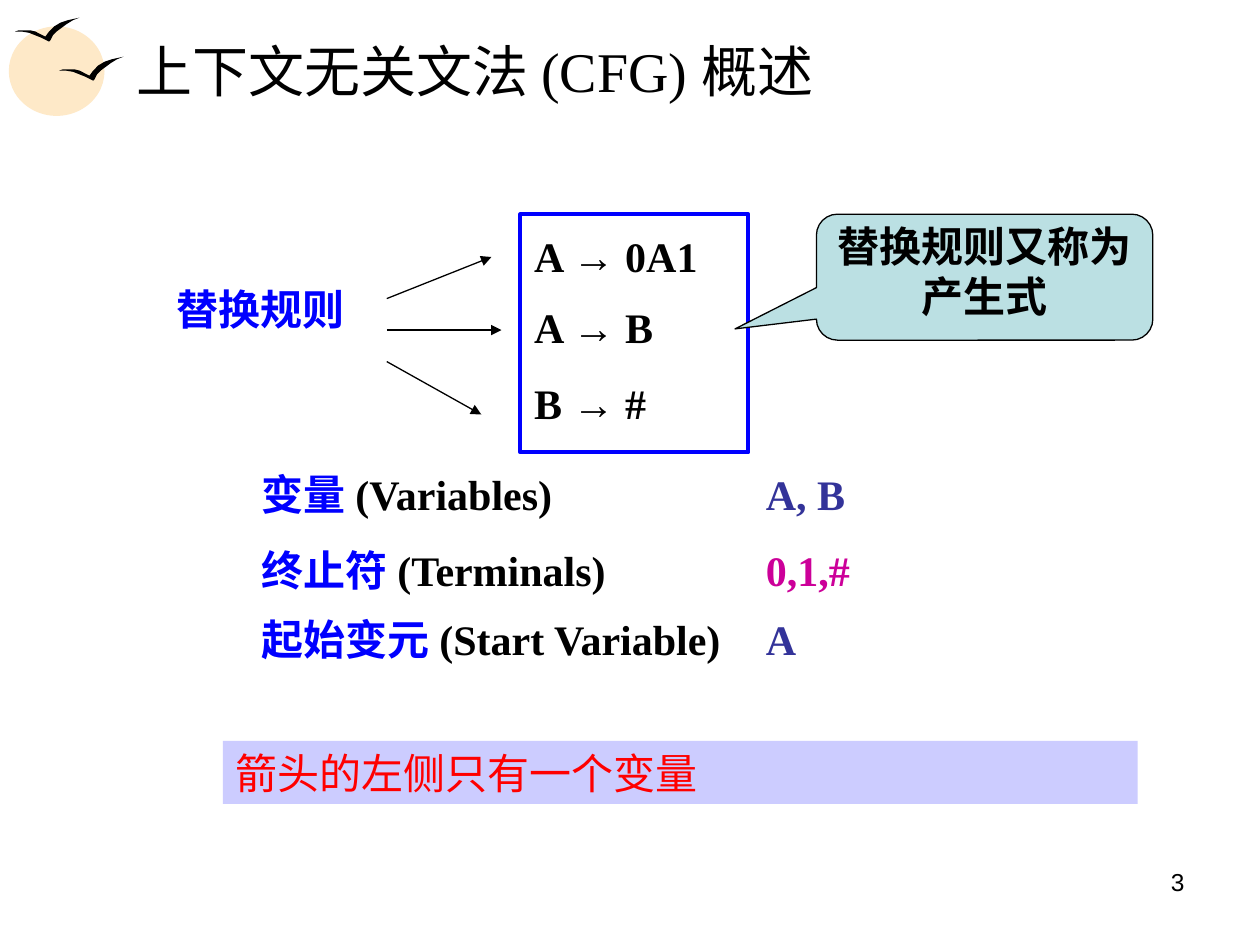
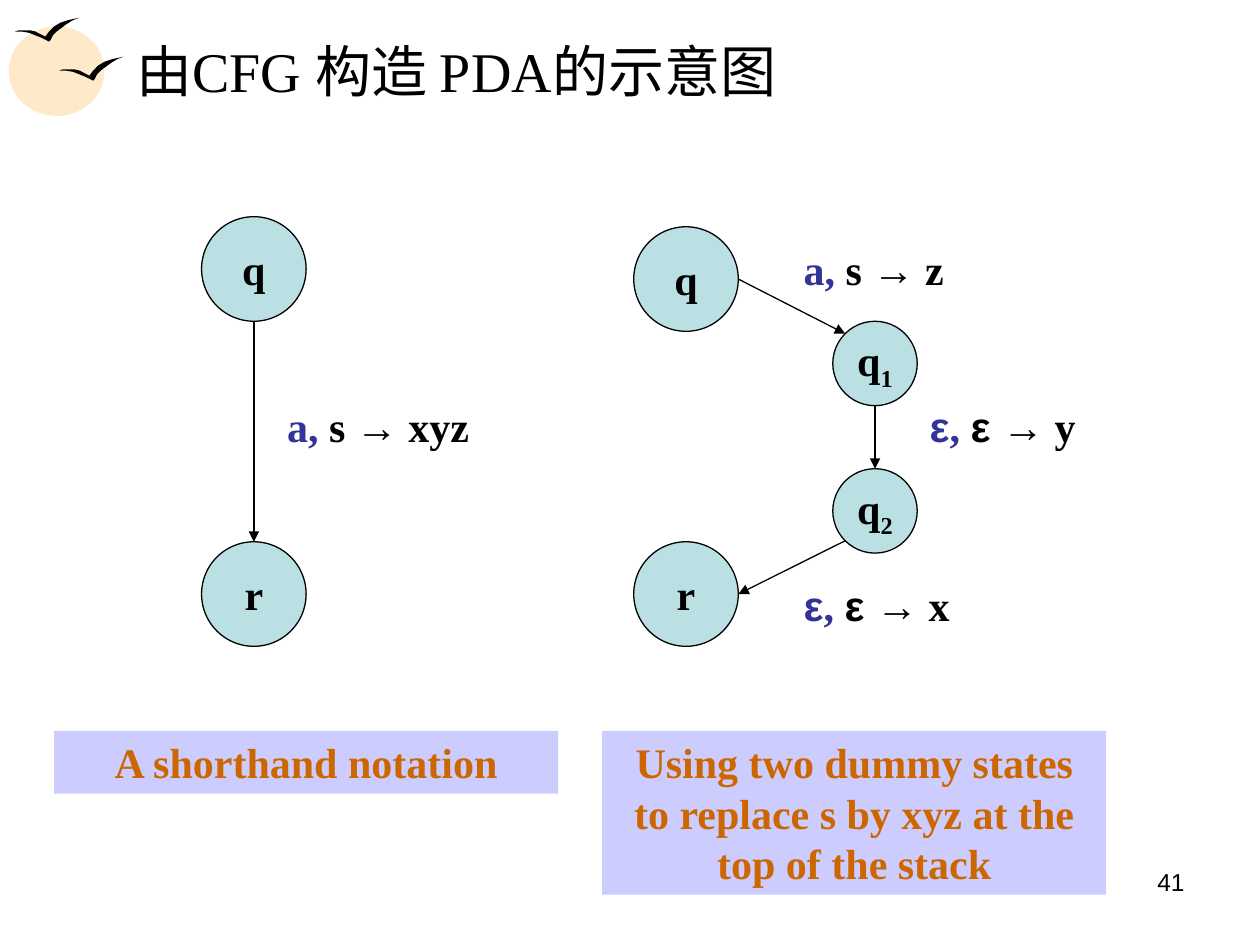
from math import sqrt

from lxml.etree import SubElement
from pptx import Presentation
from pptx.dml.color import RGBColor
from pptx.enum.shapes import MSO_CONNECTOR as Link, MSO_SHAPE as Kind
from pptx.enum.text import MSO_ANCHOR as Anchor, MSO_AUTO_SIZE as Fit, PP_ALIGN as Align
from pptx.oxml.ns import qn
from pptx.util import Inches, Pt

BLACK, BLUE, NAVY, RED = "000000", "0000FF", "333399", "FF0000"
PINK, RUST, SAND = "CC0099", "CC6600", "FEE9C8"
TEAL, LILAC = "BBE0E3", "CCCCFF"
SERIF, SANS, COMIC = "Times New Roman", "Arial", "Comic Neue"
WING = [(0, 11), (3, 10), (8, 10), (12, 10), (16, 11), (20, 13), (24, 15),
        (27, 11), (31, 7), (36, 4), (42, 2), (51, 0), (46, 2), (41, 5),
        (37, 8), (33, 11), (30, 14), (28, 18), (27, 19), (25, 18),
        (21, 16), (16, 14), (11, 12), (5, 11)]


def tint(code):
    return RGBColor.from_string(code)


def style(shape, fill=None, line=None, width=0.75):
    shape.shadow.inherit = False
    if fill:
        shape.fill.solid()
        shape.fill.fore_color.rgb = tint(fill)
    else:
        shape.fill.background()
    if line:
        shape.line.color.rgb = tint(line)
        shape.line.width = Pt(width)
    else:
        shape.line.fill.background()


def inset(frame, side, top):
    frame.margin_left = frame.margin_right = Inches(side)
    frame.margin_top = frame.margin_bottom = Inches(top)


def fill_in(para, runs, size=24, font=SERIF, bold=True, align=Align.LEFT, tab=None):
    para.alignment = align
    if tab:
        tabs = SubElement(para._p.get_or_add_pPr(), qn("a:tabLst"))
        SubElement(tabs, qn("a:tab"), pos=str(Inches(tab)), algn="l")
    para.font.size = Pt(size)
    para.font.name = font
    para.font.bold = bold
    colors = {color for _, color, *_ in runs}
    if len(colors) == 1:
        para.font.color.rgb = tint(runs[0][1])
    for text, color, *face in runs:
        run = para.add_run()
        run.text = text
        if len(colors) > 1:
            run.font.color.rgb = tint(color)
        if face:
            run.font.name = face[0]


def add_text(slide, box, runs, **look):
    frame = slide.shapes.add_textbox(*map(Inches, box)).text_frame
    frame.word_wrap = True
    inset(frame, 0.1, 0.05)
    fill_in(frame.paragraphs[0], runs, **look)


def add_box(slide, kind, box, fill=None, line=None, width=0.75):
    shape = slide.shapes.add_shape(kind, *map(Inches, box))
    style(shape, fill, line, width)
    frame = shape.text_frame
    frame.word_wrap = True
    frame.vertical_anchor = Anchor.TOP
    inset(frame, 0.1, 0.05)
    return shape


def add_band(slide, box, text, color, **look):
    band = add_box(slide, Kind.RECTANGLE, box, LILAC)
    fill_in(band.text_frame.paragraphs[0], [(text, color)], **look)


def add_arrow(slide, start, end):
    ends = map(Inches, (*start, *end))
    arrow = slide.shapes.add_connector(Link.STRAIGHT, *ends)
    arrow.line.color.rgb = tint(BLACK)
    arrow.line.width = Pt(0.75)
    SubElement(arrow.line._get_or_add_ln(), qn("a:tailEnd"), type="triangle")
    SubElement(arrow._element.spPr, qn("a:effectLst"))


def add_bird(slide, x, y):
    pen = slide.shapes.build_freeform(*WING[0], scale=Inches(0.01))
    pen.add_line_segments(WING[1:])
    style(pen.convert_to_shape(Inches(x), Inches(y)), BLACK)


def add_sun(slide, x, y):
    add_box(slide, Kind.OVAL, (x, y, 0.76, 0.71), SAND)
    add_bird(slide, x + 0.4, y + 0.24)
    add_bird(slide, x + 0.05, y - 0.07)


def add_page(deck, title, number):
    slide = deck.slides.add_slide(deck.slide_layouts[5])
    head = slide.shapes.title
    head.left, head.top = Inches(0.98), Inches(0.21)
    head.width, head.height = Inches(8.53), Inches(0.69)
    frame = head.text_frame
    frame.auto_size = Fit.NONE
    frame.vertical_anchor = Anchor.MIDDLE
    fill_in(frame.paragraphs[0], [(title, BLACK)], size=32, bold=False)
    add_sun(slide, 0.07, 0.21)
    add_text(slide, (7.17, 6.83, 2.33, 0.52), [(number, BLACK)],
             size=14, font=SANS, bold=False, align=Align.RIGHT)
    return slide


def add_rules(slide, x, y):
    box = add_box(slide, Kind.RECTANGLE, (x, y, 1.81, 1.89), None, BLUE, 2.25)
    frame = box.text_frame
    inset(frame, 0.11, 0.05)
    rules = [("A", "0A1", 1.2, 0), ("A", "B", 1.2, 6), ("B", "#", 1.25, 7.5)]
    for i, (left, right, pitch, gap) in enumerate(rules):
        para = frame.add_paragraph() if i else frame.paragraphs[0]
        para.line_spacing = pitch
        para.space_before = Pt(gap)
        fill_in(para, [(left + " ", BLACK), ("→", BLACK, SANS), (" " + right, BLACK)])


def add_fan(slide, x, y):
    add_text(slide, (x, y, 2.17, 0.5), [("替换规则", BLUE)],
             font=COMIC, align=Align.CENTER)
    for i, (dx, dy) in enumerate([(0.83, -0.33), (0.91, 0), (0.75, 0.42)]):
        start = x + 2.09, y + 0.17 + 0.25 * i
        add_arrow(slide, start, (start[0] + dx, start[1] + dy))


def add_note(slide, x, y):
    note = add_box(slide, Kind.ROUNDED_RECTANGULAR_CALLOUT,
                   (x, y, 2.67, 1), TEAL, BLACK)
    for i, value in enumerate((-0.742, 0.411, 0.167)):
        note.adjustments[i] = value
    inset(note.text_frame, 0, 0)
    fill_in(note.text_frame.paragraphs[0], [("替换规则又称为产生式", BLACK)],
            align=Align.CENTER)


def add_terms(slide, x, y):
    terms = [(0, "变量 ", "(Variables)", "A, B", NAVY),
             (0.6, "终止符 ", "(Terminals)", "0,1,#", PINK),
             (1.15, "起始变元 ", "(Start Variable)", "A", NAVY)]
    for dy, name, gloss, value, color in terms:
        runs = [(name, BLUE), (gloss + "\t", BLACK), (value, color)]
        add_text(slide, (x, y + dy, 6.42, 0.5), runs, tab=4)


def add_state(slide, x, y, size, name, sub=""):
    state = add_box(slide, Kind.OVAL, (x, y, size, size), TEAL, BLACK)
    frame = state.text_frame
    frame.word_wrap = False
    frame.vertical_anchor = Anchor.MIDDLE
    runs = [(name, BLACK)] + ([(sub, BLACK)] if sub else [])
    fill_in(frame.paragraphs[0], runs, align=Align.CENTER)
    if sub:
        frame.paragraphs[0].runs[1]._r.get_or_add_rPr().set("baseline", "-25000")


def add_move(slide, x, y, push, read=True, width=1.58):
    if read:
        runs = [("a, ", NAVY), ("s ", BLACK), ("→", BLACK, SANS)]
    else:
        runs = [("ε", NAVY, SANS), (", ", NAVY), ("ε →", BLACK, SANS)]
    add_text(slide, (x, y, width, 0.5), runs + [(" " + push, BLACK)])


def add_short(slide, x, y):
    size, drop = 0.83, 2.58
    mid = x + size / 2
    add_state(slide, x, y, size, "q")
    add_state(slide, x, y + drop, size, "r")
    add_arrow(slide, (mid, y + size), (mid, y + drop))
    add_move(slide, x + 0.58, y + 1.41, "xyz", width=1.92)


def add_long(slide, x, y):
    big, small = 0.83, 0.67
    left, first, second, last = x + 1.58, y + 0.75, y + 1.92, y + 2.5
    mid = left + small / 2
    edge = small / 2 * (1 - 1 / sqrt(2))
    add_state(slide, x, y, big, "q")
    add_state(slide, x, last, big, "r")
    add_state(slide, left, first, small, "q", "1")
    add_state(slide, left, second, small, "q", "2")
    add_arrow(slide, (x + big, y + big / 2), (left + edge, first + edge))
    add_arrow(slide, (mid, first + small), (mid, second))
    add_arrow(slide, (left + edge, second + small - edge), (x + big, last + big / 2))
    add_move(slide, x + 1.25, y + 0.08, "z")
    add_move(slide, x + 2.25, y + 1.33, "y", read=False)
    add_move(slide, x + 1.25, y + 2.75, "x", read=False)


def add_grammar(deck):
    slide = add_page(deck, "上下文无关文法 (CFG) 概述", "3")
    add_rules(slide, 4.13, 1.7)
    add_fan(slide, 0.98, 2.2)
    add_terms(slide, 1.98, 3.67)
    add_band(slide, (1.77, 5.88, 7.26, 0.5), "箭头的左侧只有一个变量", RED,
             font=COMIC, bold=False)
    add_note(slide, 6.48, 1.7)


def add_machine(deck):
    slide = add_page(deck, "由CFG 构造 PDA的示意图", "41")
    add_short(slide, 1.6, 1.72)
    add_long(slide, 5.03, 1.8)
    add_band(slide, (0.43, 5.8, 4, 0.5), "A shorthand notation", RUST,
             align=Align.CENTER)
    add_band(slide, (4.78, 5.8, 4, 1.3),
             "Using two dummy states to replace s by xyz at the top of the stack",
             RUST, align=Align.CENTER)


def main():
    deck = Presentation()
    deck.slide_width, deck.slide_height = Inches(10), Inches(7.5)
    add_grammar(deck)
    add_machine(deck)
    deck.save("out.pptx")


if __name__ == "__main__":
    main()
